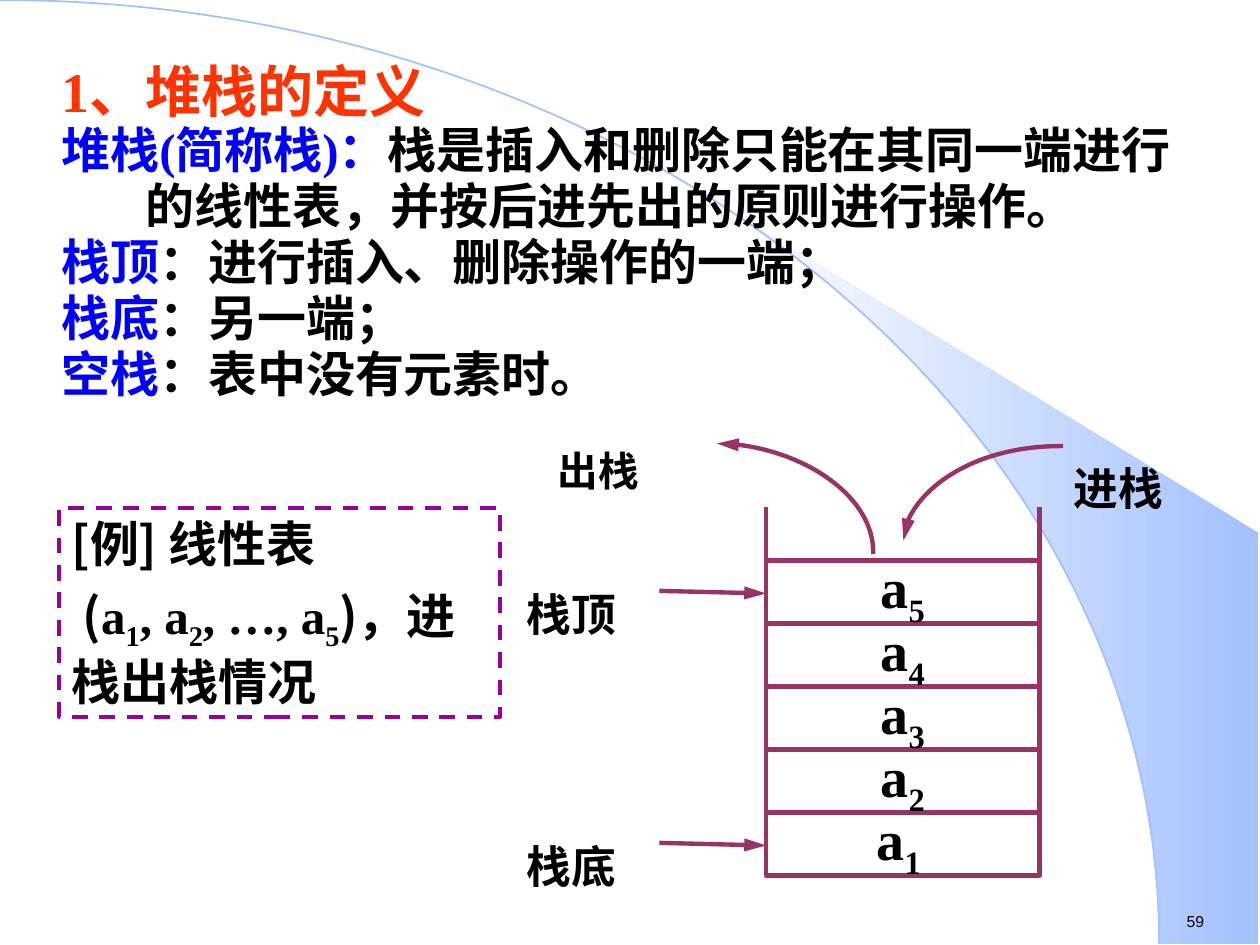
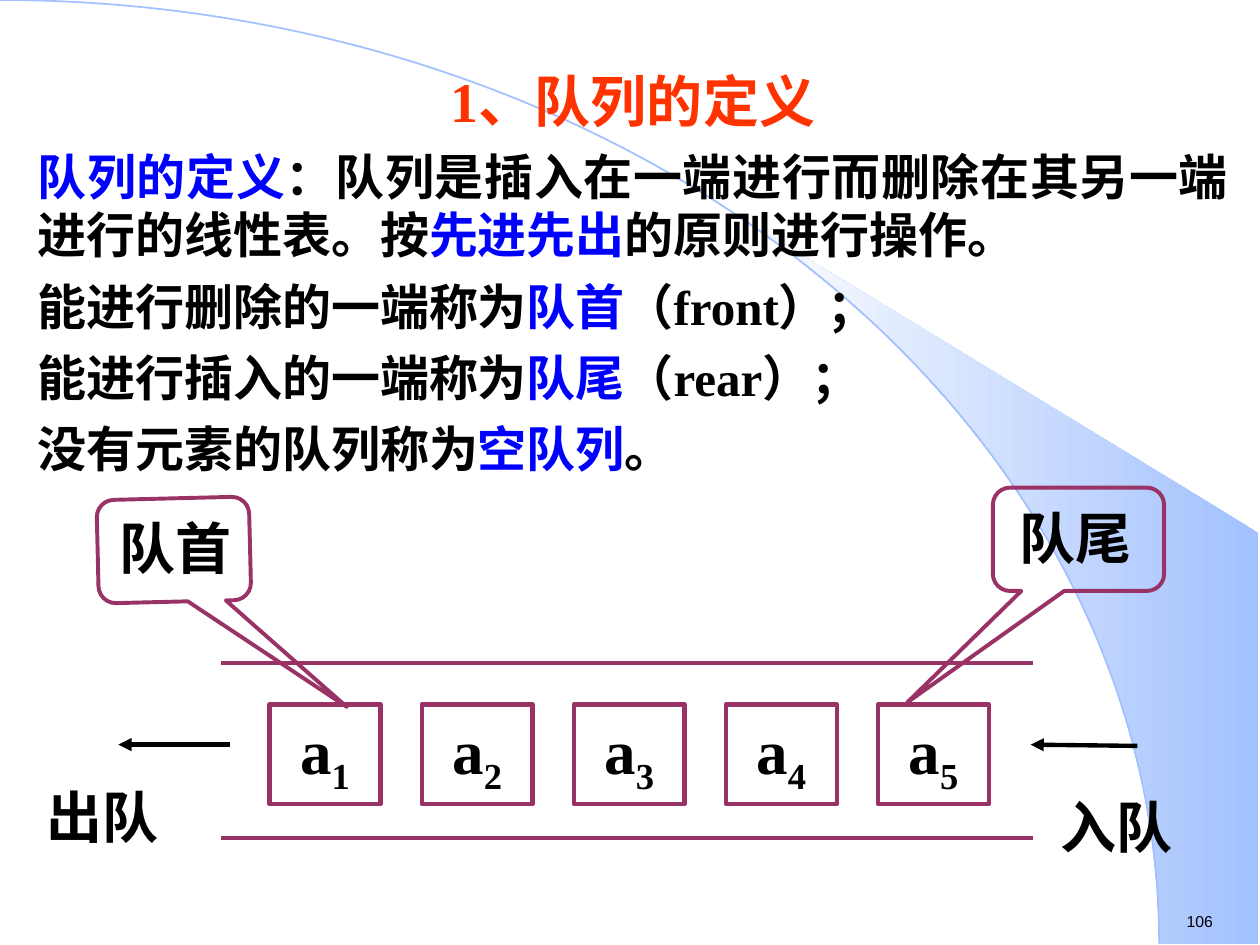
from dataclasses import dataclass
from math import asin, cos, pi, sin
from typing import NamedTuple, Optional

from lxml.etree import SubElement
from pptx import Presentation
from pptx.dml.color import RGBColor
from pptx.enum.dml import MSO_LINE_DASH_STYLE as Dash
from pptx.enum.shapes import MSO_CONNECTOR as Link, MSO_SHAPE as Preset
from pptx.enum.text import MSO_ANCHOR as Anchor, PP_ALIGN as Align
from pptx.oxml.ns import qn
from pptx.util import Inches, Pt

BLACK = RGBColor(0x00, 0x00, 0x00)
WHITE = RGBColor(0xFF, 0xFF, 0xFF)
TITLE_RED = RGBColor(0xFF, 0x33, 0x00)
TERM_BLUE = RGBColor(0x00, 0x00, 0xFF)
PLUM = RGBColor(0x99, 0x33, 0x66)
PURPLE = RGBColor(0x99, 0x00, 0x99)
ARC_BLUE = RGBColor(0xA2, 0xC1, 0xFE)
PALE = RGBColor(0xFE, 0xFE, 0xFE)

SERIF = "Times New Roman"
SANS = "Noto Sans CJK SC"
ARC_WIDTH, ARC_HEIGHT = 9.2, 7.49
SUBSCRIPT = "-25000"


class Area(NamedTuple):
    left: float
    top: float
    width: float
    height: float


class Point(NamedTuple):
    x: float
    y: float


@dataclass
class Span:
    text: str
    color: RGBColor = BLACK
    size: float = 28
    font: str = SERIF
    bold: bool = True
    lowered: bool = False


@dataclass
class Para:
    spans: list[Span]
    align: Align = Align.LEFT
    before: float = 0
    spacing: Optional[float] = None
    hanging: float = 0


@dataclass
class Label:
    text: str
    area: Area
    size: float = 32
    lowered: bool = False


@dataclass
class ArrowHead:
    end: str
    length: str = "med"


HEAD_AT_START = ArrowHead("headEnd", "lg")
HEAD_AT_END = ArrowHead("tailEnd", "lg")
SHORT_HEAD_AT_END = ArrowHead("tailEnd")


def inches(values: tuple) -> list:
    return [Inches(value) for value in values]


def write(shape, paras: list[Para], anchor: Anchor = Anchor.TOP, inset: float = 0.05) -> None:
    frame = shape.text_frame
    frame.word_wrap = True
    frame.vertical_anchor = anchor
    frame.margin_top = frame.margin_bottom = Inches(inset)
    for index, para in enumerate(paras):
        line = frame.add_paragraph() if index else frame.paragraphs[0]
        line.alignment = para.align
        if index:
            line.space_before = Pt(para.before)
        if para.spacing:
            line.line_spacing = para.spacing
        if para.hanging:
            properties = line._p.get_or_add_pPr()
            properties.set("marL", str(Inches(para.hanging)))
            properties.set("indent", str(-Inches(para.hanging)))
        for span in para.spans:
            run = line.add_run()
            run.text = span.text
            run.font.size = Pt(span.size)
            run.font.bold = span.bold
            run.font.color.rgb = span.color
            run.font.name = span.font
            marks = run._r.get_or_add_rPr()
            SubElement(marks, qn("a:ea")).set("typeface", SANS)
            if span.lowered:
                marks.set("baseline", SUBSCRIPT)


def add_text(page, area: Area, paras: list[Para]) -> None:
    write(page.shapes.add_textbox(*inches(area)), paras)


def add_label(page, label: Label) -> None:
    add_text(page, label.area, [Para([Span(label.text, size=label.size, lowered=label.lowered)])])


def add_outline(page, preset: Preset, area: Area, color: RGBColor = PLUM,
                weight: float = 2.25, fill: Optional[RGBColor] = None):
    shape = page.shapes.add_shape(preset, *inches(area))
    shape.shadow.inherit = False
    shape.line.color.rgb = color
    shape.line.width = Pt(weight)
    if fill is None:
        shape.fill.background()
    else:
        shape.fill.solid()
        shape.fill.fore_color.rgb = fill
    return shape


def add_line(page, start: Point, end: Point, color: RGBColor = PLUM,
             head: Optional[ArrowHead] = None, curved: bool = False) -> None:
    kind = Link.CURVE if curved else Link.STRAIGHT
    line = page.shapes.add_connector(kind, *inches(start), *inches(end))
    line.line.color.rgb = color
    line.line.width = Pt(2.5)
    properties = line._element.spPr
    stroke = properties.find(qn("a:ln"))
    stroke.set("cap", "sq")
    if curved:
        properties.find(qn("a:prstGeom")).set("prst", "curvedConnector2")
    if head:
        tip = SubElement(stroke, qn(f"a:{head.end}"))
        tip.set("type", "triangle")
        tip.set("len", head.length)
    SubElement(properties, qn("a:effectLst"))


def add_cell(page, area: Area):
    return add_outline(page, Preset.RECTANGLE, area, weight=2.5, fill=WHITE)


def element(index: str, size: float, spacing: Optional[float] = None) -> Para:
    """Centred a with a subscript index."""
    return Para([Span("a", size=size), Span(index, size=size, lowered=True)],
                Align.CENTER, spacing=spacing)


def add_callout(page, area: Area, tip: Point, rotation: float = 0) -> None:
    callout = add_outline(page, Preset.ROUNDED_RECTANGULAR_CALLOUT, area)
    callout.adjustments[0], callout.adjustments[1] = tip
    callout.rotation = rotation


def add_blade(page) -> None:
    """Fill the gradient area between the background arc and the right edge."""
    first, steps = asin(5.89 / ARC_WIDTH), 16
    angles = [first + (pi / 2 - first) * step / steps for step in range(steps + 1)]
    curve = [Point(ARC_WIDTH * sin(a), ARC_HEIGHT * (1 - cos(a))) for a in angles]
    corners = [Point(9.99, ARC_HEIGHT), Point(9.99, 4.23)]
    builder = page.shapes.build_freeform(*inches(curve[0]))
    builder.add_line_segments([inches(point) for point in curve[1:] + corners])
    blade = builder.convert_to_shape()
    blade.shadow.inherit = False
    blade.line.fill.background()
    blade.fill.gradient()
    blade.fill.gradient_angle = 180
    for stop, color, position in zip(blade.fill.gradient_stops, (ARC_BLUE, PALE), (0, 1)):
        stop.color.rgb = color
        stop.position = position


def add_page(deck, number: int):
    page = deck.slides.add_slide(deck.slide_layouts[6])
    add_blade(page)
    add_outline(page, Preset.ARC, Area(-ARC_WIDTH, 0, 2 * ARC_WIDTH, 2 * ARC_HEIGHT),
                ARC_BLUE, weight=1)
    add_text(page, Area(9.32, 7.19, 0.68, 0.25),
             [Para([Span(str(number), size=9, font="Arial", bold=False)])])
    return page


def title(text: str, align: Align = Align.LEFT) -> Para:
    return Para([Span(text, TITLE_RED, 32)], align)


def term(text: str) -> Span:
    return Span(text, TERM_BLUE)


def build_stack_page(deck) -> None:
    page = add_page(deck, 59)
    definitions = [
        ("堆栈(简称栈)：", "栈是插入和删除只能在其同一端进行的线性表，并按后进先出的原则进行操作。"),
        ("栈顶", "：进行插入、删除操作的一端；"),
        ("栈底", "：另一端；"),
        ("空栈", "：表中没有元素时。"),
    ]
    add_text(page, Area(0.39, 0.4, 9.24, 6.65), [title("1、堆栈的定义")] + [
        Para([term(name), Span(meaning)], spacing=0.95, hanging=0.67)
        for name, meaning in definitions])

    left, top, width, height = 6.08, 4.45, 2.17, 0.5
    cells = [Area(left, top + row * height, width, height) for row in range(5)]
    for cell in cells:
        add_cell(page, cell)
    # Subscripts reach past their cells, so the text goes above all of them.
    for cell, index in zip(cells, ("5", "4", "3", "2", "1 ")):
        add_text(page, Area(left, cell.top - 0.08, width, 0.62), [element(index, 32, 0.85)])
    for x in (left, left + width):
        add_line(page, Point(x, top), Point(x, 4.04))
    for y in (4.69, 6.69):
        add_line(page, Point(5.25, y), Point(left, y + 0.02), head=HEAD_AT_END)
    add_line(page, Point(8.42, 3.54), Point(7.17, 4.29), head=HEAD_AT_END, curved=True)
    add_line(page, Point(5.69, 3.52), Point(6.93, 4.38), head=HEAD_AT_START, curved=True)

    for label in (
        Label("进栈", Area(8.42, 3.2, 1.58, 0.94), 44, True),
        Label("出栈", Area(4.33, 3.12, 1.67, 0.86), 40, True),
        Label("栈顶", Area(4.08, 4.2, 1.75, 0.94), 44, True),
        Label("栈底", Area(4.08, 6.2, 1.75, 0.94), 44, True),
    ):
        add_label(page, label)

    example = add_outline(page, Preset.RECTANGLE, Area(0.47, 4.03, 3.5, 1.66), PURPLE)
    example.line.dash_style = Dash.DASH
    elements = [Span(" (", font=SANS)]
    for name, index in (("a", "1"), (", a", "2"), (", …, a", "5")):
        elements += [Span(name), Span(index, lowered=True)]
    elements.append(Span(")，进栈出栈情况", font=SANS))
    write(example, [Para([Span("[例] 线性表", font=SANS)]), Para(elements, before=7)])


def build_queue_page(deck) -> None:
    page = add_page(deck, 106)
    add_text(page, Area(0.2, 0.48, 9.65, 3.35), [
        title("1、队列的定义", Align.CENTER),
        Para([term("队列的定义"),
              Span("：队列是插入在一端进行而删除在其另一端进行的线性表。按"),
              term("先进先出"), Span("的原则进行操作。")], Align.JUSTIFY, before=7),
        *(Para([Span(lead), term(name), Span(tail)], before=7) for lead, name, tail in (
            ("能进行删除的一端称为", "队首", "（front）；"),
            ("能进行插入的一端称为", "队尾", "（rear）；"),
            ("没有元素的队列称为", "空队列", "。"))),
    ])

    for column in range(5):
        cell = add_cell(page, Area(2.14 + column * 1.207, 5.59, 0.88, 0.79))
        write(cell, [element(str(column + 1), 36)], Anchor.MIDDLE, inset=0)
    for y in (5.26, 6.65):
        add_line(page, Point(1.77, y), Point(8.18, y))
    add_line(page, Point(1.81, 5.91), Point(0.94, 5.91), BLACK, SHORT_HEAD_AT_END)
    add_line(page, Point(9.01, 5.92), Point(8.18, 5.91), BLACK, SHORT_HEAD_AT_END)
    add_callout(page, Area(7.88, 3.87, 1.36, 0.82), Point(-1, 1.58))
    add_callout(page, Area(0.97, 3.76, 0.82, 1.21), Point(-1.56, 1.11), rotation=268.6)

    for label in (
        Label("队尾", Area(7.99, 3.95, 1.33, 0.64)),
        Label("队首", Area(0.85, 4.03, 1.41, 0.64)),
        Label("入队", Area(8.32, 6.24, 1.33, 0.64)),
        Label("出队", Area(0.27, 6.16, 1.33, 0.64)),
    ):
        add_label(page, label)


def main() -> None:
    deck = Presentation()
    deck.slide_width, deck.slide_height = Inches(10), Inches(7.5)
    build_stack_page(deck)
    build_queue_page(deck)
    deck.save("out.pptx")


if __name__ == "__main__":
    main()
